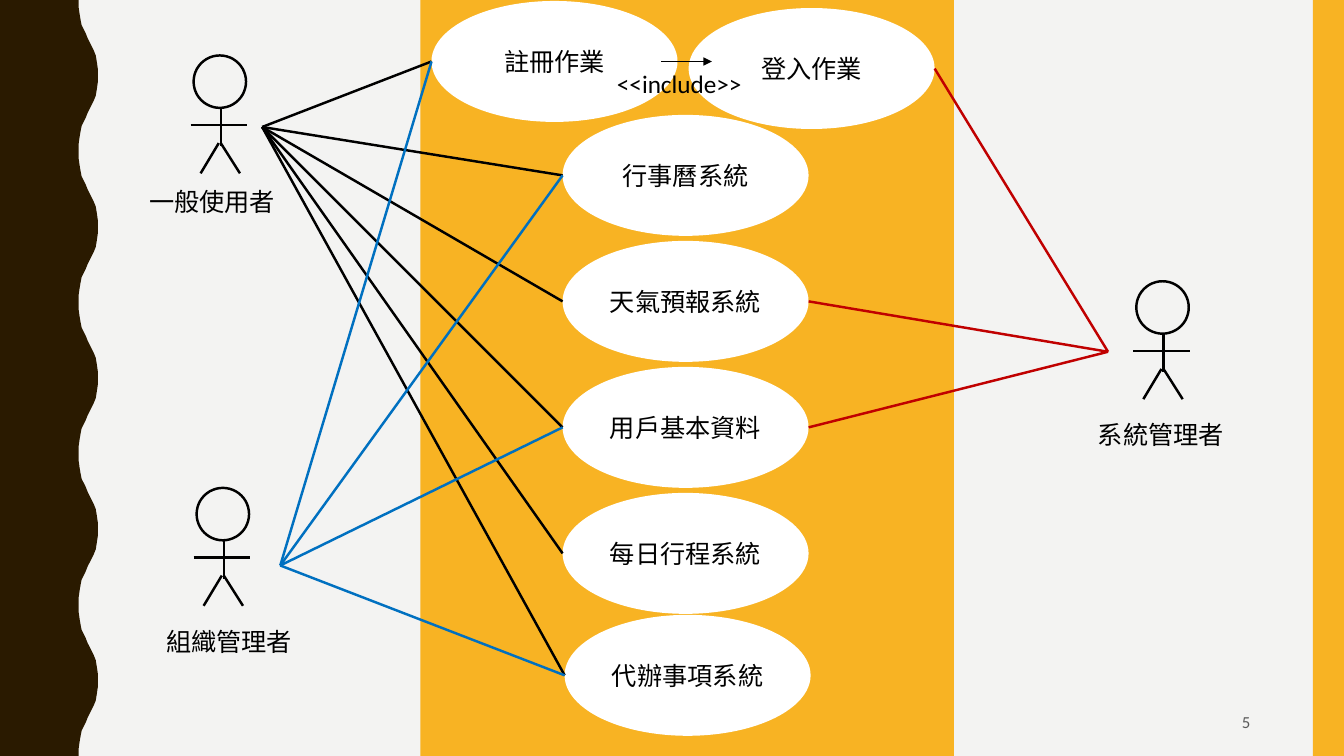
from dataclasses import dataclass
from lxml.etree import SubElement
from pptx import Presentation
from pptx.dml.color import RGBColor
from pptx.enum.shapes import MSO_CONNECTOR, MSO_SHAPE
from pptx.enum.text import MSO_ANCHOR, MSO_AUTO_SIZE, PP_ALIGN
from pptx.oxml.ns import qn
from pptx.util import Inches, Pt


@dataclass(frozen=True)
class Theme:
    font: str = "Calibri"
    background: str = "F3F3F2"
    wave: str = "2A1A00"
    accent: str = "F8B323"
    oval: str = "FFFFFF"
    ink: str = "000000"
    blue: str = "0070C0"
    red: str = "C00000"
    muted: str = "595959"
    body_size: float = 18
    number_size: float = 12
    line_width: float = 1.75
    arrow_width: float = 0.5


THEME = Theme()

# Content: use cases (text -> left, top)
USE_CASES = {
    "註冊作業": (4.28, 0.01),
    "登入作業": (6.83, 0.08),
    "行事曆系統": (5.58, 1.14),
    "天氣預報系統": (5.58, 2.39),
    "用戶基本資料": (5.58, 3.64),
    "每日行程系統": (5.58, 4.89),
    "代辦事項系統": (5.6, 6.1),
}
# Actors: name, label position, head position, mask position, hub, line colour,
# side of the ovals that is reached, linked use cases
ACTORS = [
    ("一般使用者", (1.38, 1.8), (1.92, 0.55), (1.6, 0.51), (2.6, 1.26), THEME.ink, "left",
     ["註冊作業", "行事曆系統", "天氣預報系統", "用戶基本資料", "每日行程系統", "代辦事項系統"]),
    ("組織管理者", (1.55, 6.16), (1.95, 4.84), (1.77, 4.84), (2.78, 5.61), THEME.blue, "left",
     ["註冊作業", "行事曆系統", "代辦事項系統", "用戶基本資料"]),
    ("系統管理者", (10.79, 4.11), (11.27, 2.79), (11.12, 2.8), (10.99, 3.49), THEME.red, "right",
     ["登入作業", "用戶基本資料", "天氣預報系統"]),
]
INCLUDE_LABEL = "<<include>>"
SLIDE_NUMBER = "5"

# Geometry
SLIDE_WIDTH, SLIDE_HEIGHT = 13.33, 7.5
OVAL_WIDTH, OVAL_HEIGHT = 2.44, 1.2
MASK_SIZE = (0.98, 1.31)
HEAD_SIZE = 0.52
LABEL_SIZE = (1.46, 0.4)
LIMBS = [  # arms, trunk and legs, measured from the head's corner
    ((-0.03, 0.69), (0.53, 0.69)),
    ((0.27, 0.52), (0.27, 0.9)),
    ((0.25, 0.87), (0.07, 1.17)),
    ((0.27, 0.87), (0.46, 1.17)),
]
WAVE_PERIOD = 1.5
HALF_WAVE = [(0.78, 0), (0.78, 0.07), (0.79, 0.14), (0.8, 0.2), (0.81, 0.25),
             (0.83, 0.29), (0.85, 0.33), (0.87, 0.38), (0.89, 0.42), (0.91, 0.46),
             (0.93, 0.5), (0.95, 0.55), (0.96, 0.61), (0.97, 0.68), (0.97, 0.75)]


def color(code):
    return RGBColor.from_string(code)


def write(shape, text, size=THEME.body_size, ink=THEME.ink,
          align=PP_ALIGN.LEFT, anchor=MSO_ANCHOR.TOP, wrap=True):
    frame = shape.text_frame
    frame.word_wrap = wrap
    frame.vertical_anchor = anchor
    if not wrap:
        frame.auto_size = MSO_AUTO_SIZE.SHAPE_TO_FIT_TEXT
    paragraph = frame.paragraphs[0]
    paragraph.text = text
    paragraph.alignment = align
    paragraph.font.name = THEME.font
    paragraph.font.size = Pt(size)
    paragraph.font.color.rgb = color(ink)


def paint(shape, fill=None, line=None):
    shape.shadow.inherit = False
    if fill:
        shape.fill.solid()
        shape.fill.fore_color.rgb = color(fill)
    else:
        shape.fill.background()
    if line:
        shape.line.color.rgb = color(line)
        shape.line.width = Pt(THEME.line_width)
    else:
        shape.line.fill.background()


def add_preset(shapes, kind, position, extent, fill=None, line=None):
    shape = shapes.add_shape(kind, *map(Inches, (*position, *extent)))
    paint(shape, fill, line)
    return shape


def add_line(shapes, start, end, ink=THEME.ink, width=THEME.line_width, arrow=False):
    connector = shapes.add_connector(MSO_CONNECTOR.STRAIGHT, *map(Inches, (*start, *end)))
    connector.line.color.rgb = color(ink)
    connector.line.width = Pt(width)
    if arrow:
        line_properties = connector._element.spPr.find(qn("a:ln"))
        SubElement(line_properties, qn("a:tailEnd"), type="triangle")
    SubElement(connector._element.spPr, qn("a:effectLst"))


def add_text(shapes, text, position, extent, **formatting):
    write(shapes.add_textbox(*map(Inches, (*position, *extent))), text, **formatting)


def add_wave(shapes):
    one_wave = HALF_WAVE + [(x, WAVE_PERIOD - y) for x, y in HALF_WAVE[-2:0:-1]]
    edge = [(x, y + WAVE_PERIOD * turn)
            for turn in range(round(SLIDE_HEIGHT / WAVE_PERIOD)) for x, y in one_wave]
    edge += [(HALF_WAVE[0][0], SLIDE_HEIGHT), (0, SLIDE_HEIGHT)]
    builder = shapes.build_freeform(0, 0, scale=1.0)
    builder.add_line_segments([(Inches(x), Inches(y)) for x, y in edge], close=True)
    paint(builder.convert_to_shape(), THEME.wave)


def add_figure(shapes, head):
    figure = shapes.add_group_shape().shapes
    add_preset(figure, MSO_SHAPE.OVAL, head, (HEAD_SIZE, HEAD_SIZE), line=THEME.ink)
    for limb in LIMBS:
        start, end = [(head[0] + x, head[1] + y) for x, y in limb]
        add_line(figure, start, end)


def main():
    presentation = Presentation()
    presentation.slide_width = Inches(SLIDE_WIDTH)
    presentation.slide_height = Inches(SLIDE_HEIGHT)
    slide = presentation.slides.add_slide(presentation.slide_layouts[6])
    shapes = slide.shapes

    # Background, wavy edge, right strip and system boundary
    slide.background.fill.solid()
    slide.background.fill.fore_color.rgb = color(THEME.background)
    add_wave(shapes)
    for left, width in [(13.02, 0.31), (4.17, 5.29)]:
        add_preset(shapes, MSO_SHAPE.RECTANGLE, (left, 0), (width, SLIDE_HEIGHT), THEME.accent)

    # Use cases
    for text, position in USE_CASES.items():
        oval = add_preset(shapes, MSO_SHAPE.OVAL, position, (OVAL_WIDTH, OVAL_HEIGHT), THEME.oval)
        write(oval, text, align=PP_ALIGN.CENTER, anchor=MSO_ANCHOR.MIDDLE)

    # Actors with their links
    for name, label, head, mask, hub, ink, side, linked in ACTORS:
        for use_case in linked:
            left, top = USE_CASES[use_case]
            reach = OVAL_WIDTH if side == "right" else 0
            add_line(shapes, (left + reach, top + OVAL_HEIGHT / 2), hub, ink)
        add_preset(shapes, MSO_SHAPE.RECTANGLE, mask, MASK_SIZE, THEME.background)
        add_figure(shapes, head)
        add_text(shapes, name, label, LABEL_SIZE, wrap=False)

    # Include relation
    add_line(shapes, (6.56, 0.61), (7.06, 0.61), width=THEME.arrow_width, arrow=True)
    add_text(shapes, INCLUDE_LABEL, (6.02, 0.63), (1.51, 0.4), wrap=False)

    # Slide number
    add_text(shapes, SLIDE_NUMBER, (9.42, 6.97), (3.08, 0.38), size=THEME.number_size,
             ink=THEME.muted, align=PP_ALIGN.RIGHT, anchor=MSO_ANCHOR.MIDDLE)

    presentation.save("out.pptx")


if __name__ == "__main__":
    main()
